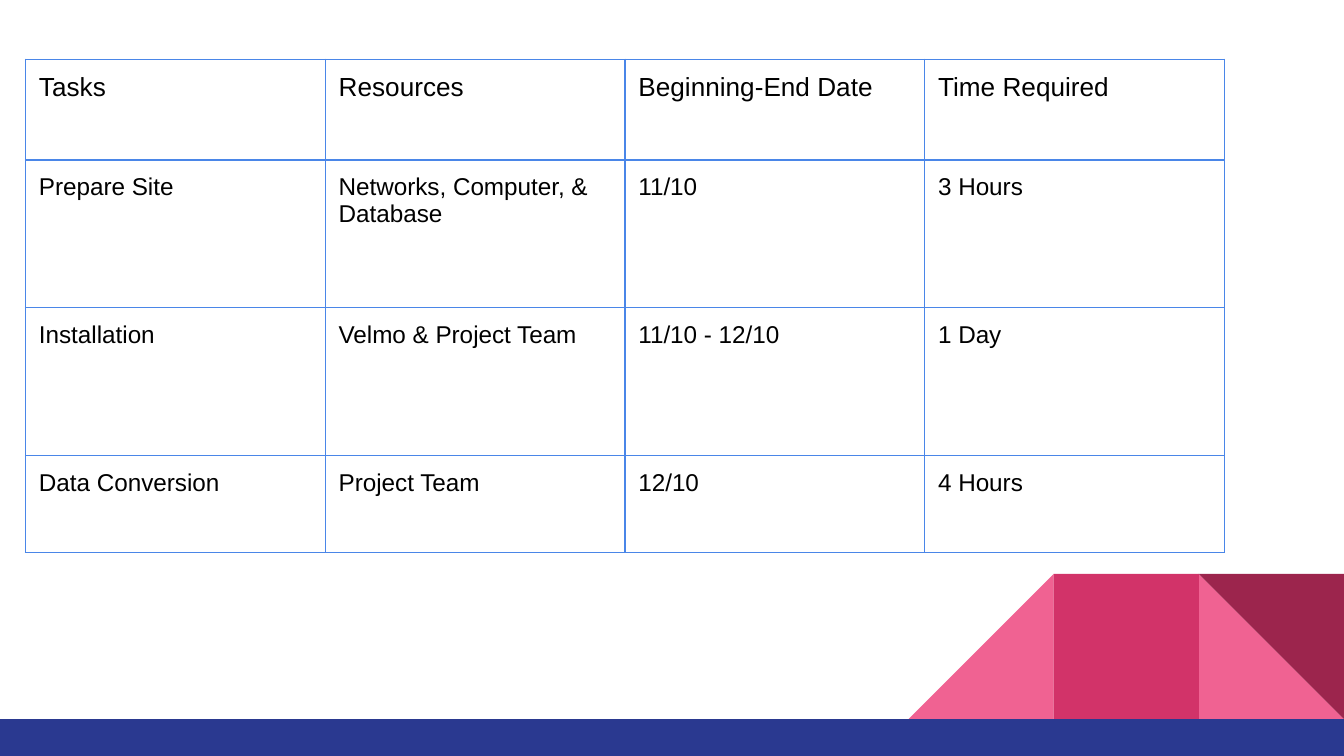
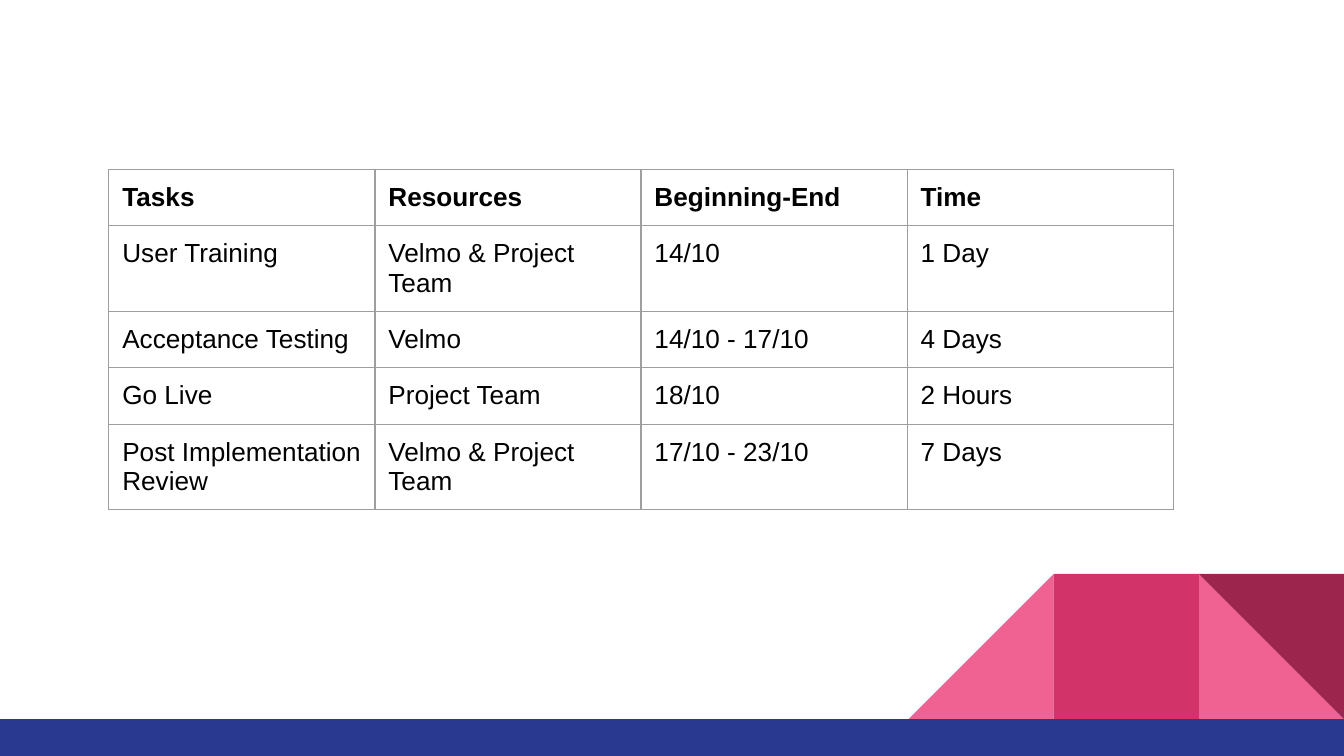
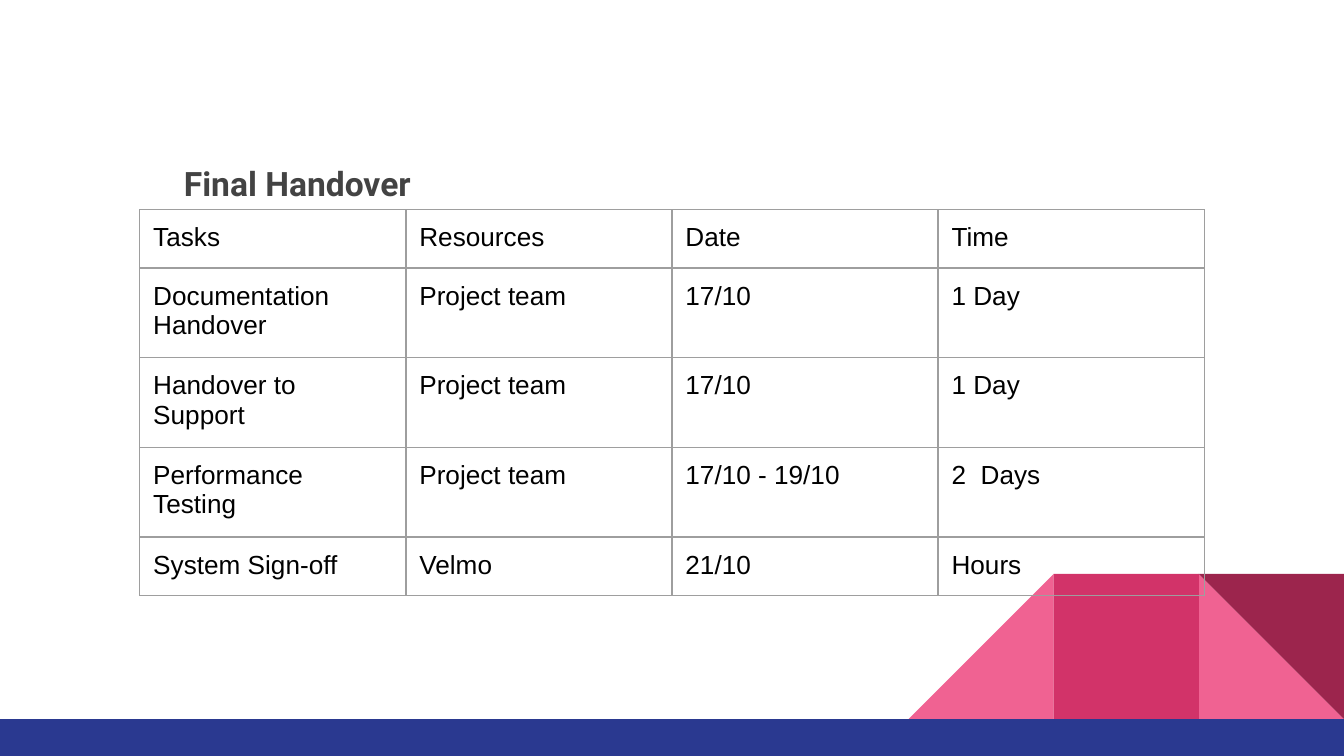
from lxml.etree import SubElement
from pptx import Presentation
from pptx.dml.color import RGBColor
from pptx.enum.shapes import MSO_SHAPE as Shape
from pptx.enum.text import MSO_ANCHOR as Anchor
from pptx.oxml.ns import qn
from pptx.util import Inches, Pt

# Colours
PINK = RGBColor(0xF0, 0x62, 0x92)
MAGENTA = RGBColor(0xD2, 0x33, 0x69)
MAROON = RGBColor(0x9C, 0x25, 0x4D)
NAVY = RGBColor(0x2A, 0x39, 0x90)
BLUE = RGBColor(0x4A, 0x86, 0xE8)
GREY = RGBColor(0x9E, 0x9E, 0x9E)
DARK = RGBColor(0x43, 0x43, 0x43)
BLACK = RGBColor(0, 0, 0)
WHITE = RGBColor(0xFF, 0xFF, 0xFF)

# Shared measures
SLIDE_WIDTH, SLIDE_HEIGHT = 10, 5.625
BAND_TOP = 5.35
TILE = 1.08
ONE_LINE, TWO_LINES = 0.42, 0.64
BORDER = Pt(0.75)
MARGINS = {f"margin_{side}": Inches(0.1)
           for side in ("left", "right", "top", "bottom")}

# Text formats
HEADER = {"name": "Arial", "size": Pt(14), "bold": False}
BOLD_HEADER = {**HEADER, "bold": True}
SMALL = {**HEADER, "size": Pt(13)}
HEADING = {"name": "Roboto", "size": Pt(18), "bold": True}

# Schedule content
PREPARATION = [
    ("Tasks", "Resources", "Beginning-End Date", "Time Required"),
    ("Prepare Site", "Networks, Computer, & Database", "11/10", "3 Hours"),
    ("Installation", "Velmo & Project Team", "11/10 - 12/10", "1 Day"),
    ("Data Conversion", "Project Team", "12/10", "4 Hours"),
]
ROLLOUT = [
    ("Tasks", "Resources", "Beginning-End", "Time"),
    ("User Training", "Velmo & Project Team", "14/10", "1 Day"),
    ("Acceptance Testing", "Velmo", "14/10 - 17/10", "4 Days"),
    ("Go Live", "Project Team", "18/10", "2 Hours"),
    ("Post Implementation Review", "Velmo & Project Team", "17/10 - 23/10", "7 Days"),
]
HANDOVER = [
    ("Tasks", "Resources", "Date", "Time"),
    ("Documentation Handover", "Project team", "17/10", "1 Day"),
    ("Handover to Support", "Project team", "17/10", "1 Day"),
    ("Performance Testing", "Project team", "17/10 - 19/10", "2  Days"),
    ("System Sign-off", "Velmo", "21/10", "Hours"),
]


def set_values(target, values):
    for key, value in values.items():
        setattr(target, key, value)


def write(frame, text, font, colour):
    paragraph = frame.paragraphs[0]
    run = paragraph.add_run()
    run.text = text
    set_values(run.font, font)
    run.font.color.rgb = colour
    return paragraph


def add_block(shapes, kind, left, top, width, height, colour, rotation=0):
    block = shapes.add_shape(kind, Inches(left), Inches(top),
                             Inches(width), Inches(height))
    block.shadow.inherit = False
    block.fill.solid()
    block.fill.fore_color.rgb = colour
    block.line.fill.background()
    block.rotation = rotation


def add_decor(slide):
    """Folded ribbon above the bottom band."""
    ribbon = slide.shapes.add_group_shape().shapes
    pieces = [  # tiles from the right edge, outline, colour, rotation
        (1, Shape.RIGHT_TRIANGLE, PINK, 0),
        (3, Shape.RIGHT_TRIANGLE, PINK, 270),
        (2, Shape.RECTANGLE, MAGENTA, 0),
        (1, Shape.RIGHT_TRIANGLE, MAROON, 180),
    ]
    for tiles, kind, colour, rotation in pieces:
        add_block(ribbon, kind, SLIDE_WIDTH - tiles * TILE, BAND_TOP - TILE,
                  TILE, TILE, colour, rotation)
    add_block(slide.shapes, Shape.RECTANGLE, 0, BAND_TOP,
              SLIDE_WIDTH, SLIDE_HEIGHT - BAND_TOP, NAVY)


def add_borders(cell, colour):
    properties = cell._tc.get_or_add_tcPr()
    for side in ("lnL", "lnR", "lnT", "lnB"):
        edge = SubElement(properties, qn(f"a:{side}"), w=str(BORDER))
        fill = SubElement(edge, qn("a:solidFill"))
        SubElement(fill, qn("a:srgbClr"), val=str(colour))


def add_schedule(slide, rows, left, top, column_width, row_heights,
                 border, header_font, body_font):
    columns = len(rows[0])
    schedule = slide.shapes.add_table(
        len(rows), columns, Inches(left), Inches(top),
        Inches(column_width * columns), Inches(sum(row_heights))).table
    set_values(schedule, {"first_row": False, "horz_banding": False})
    for column in schedule.columns:
        column.width = Inches(column_width)
    for r, (entries, height) in enumerate(zip(rows, row_heights)):
        schedule.rows[r].height = Inches(height)
        for c, entry in enumerate(entries):
            cell = schedule.cell(r, c)
            set_values(cell, {**MARGINS, "vertical_anchor": Anchor.TOP})
            add_borders(cell, border)
            cell.fill.background()
            write(cell.text_frame, entry, body_font if r else header_font, BLACK)


def add_heading(slide, text, left, top, width, height):
    frame = slide.shapes.add_textbox(Inches(left), Inches(top),
                                     Inches(width), Inches(height)).text_frame
    set_values(frame, {**MARGINS, "word_wrap": True, "vertical_anchor": Anchor.TOP})
    paragraph = write(frame, text, HEADING, DARK)
    set_values(paragraph, {"line_spacing": 1.15, "space_after": Pt(12)})


def add_page(deck):
    slide = deck.slides.add_slide(deck.slide_layouts[6])
    slide.background.fill.solid()
    slide.background.fill.fore_color.rgb = WHITE
    add_decor(slide)
    return slide


def main():
    deck = Presentation()
    deck.slide_width, deck.slide_height = Inches(SLIDE_WIDTH), Inches(SLIDE_HEIGHT)

    # Preparation
    add_schedule(add_page(deck), PREPARATION, 0.19, 0.44, 2.23,
                 [0.75, 1.1, 1.1, 0.72], BLUE, HEADER, SMALL)

    # Rollout
    add_schedule(add_page(deck), ROLLOUT, 0.81, 1.26, 1.98,
                 [ONE_LINE] * len(ROLLOUT), GREY, BOLD_HEADER, HEADER)

    # Final handover
    handover = add_page(deck)
    add_heading(handover, "Final Handover", 1.27, 1.07, 7.69, 2.78)
    add_schedule(handover, HANDOVER, 1.04, 1.56, 1.98,
                 [ONE_LINE, *[TWO_LINES] * 3, ONE_LINE], GREY, HEADER, HEADER)

    deck.save("out.pptx")


if __name__ == "__main__":
    main()
